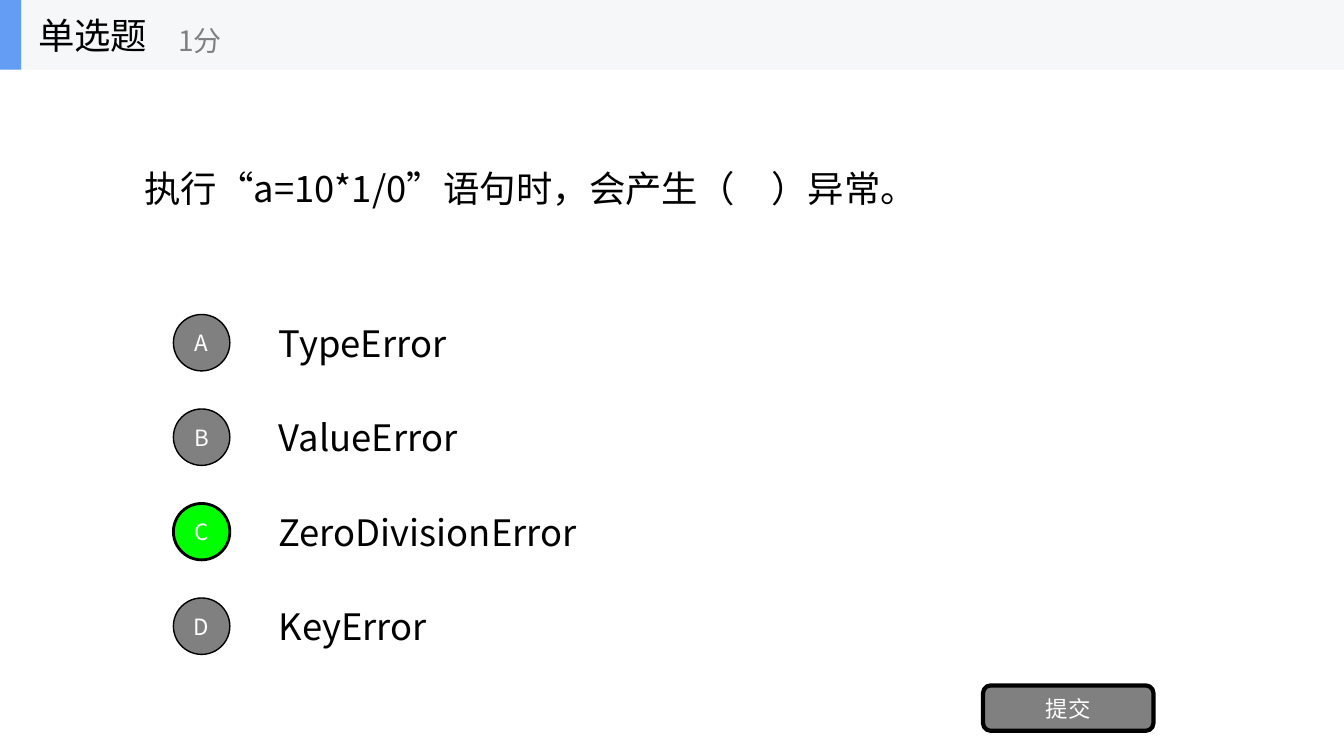
from lxml.etree import SubElement
from pptx import Presentation
from pptx.dml.color import RGBColor
from pptx.enum.shapes import MSO_SHAPE
from pptx.enum.text import MSO_ANCHOR, MSO_AUTO_SIZE, PP_ALIGN
from pptx.oxml.ns import qn
from pptx.util import Inches, Pt

# Content
HEADING = "单选题"
POINTS = "1分"
QUESTION = "执行“a=10*1/0”语句时，会产生（　）异常。"
OPTIONS = [("A", "TypeError"), ("B", "ValueError"),
           ("C", "ZeroDivisionError"), ("D", "KeyError")]
CORRECT = "C"
SUBMIT = "提交"

# Style
FONT = "Noto Sans CJK SC"
BLACK = RGBColor(0x00, 0x00, 0x00)
WHITE = RGBColor(0xFF, 0xFF, 0xFF)
GRAY = RGBColor(0x80, 0x80, 0x80)
GREEN = RGBColor(0x00, 0xFF, 0x00)
BAND = RGBColor(0xF6, 0xF7, 0xF8)
ACCENT = RGBColor(0x63, 0x9E, 0xF4)

# Layout in inches: the answers sit on a grid of equal rows
WIDTH, HEIGHT = 13.33, 7.5
BAND_HEIGHT = 0.69
ROW_TOP, ROW_HEIGHT = 3.05, HEIGHT / 8
OPTION_LEFT, OPTION_HEIGHT = WIDTH / 5, 0.7
BADGE_LEFT, BADGE_SIZE = 1.72, 0.56

deck = Presentation()
deck.slide_width, deck.slide_height = Inches(WIDTH), Inches(HEIGHT)
page = deck.slides.add_slide(deck.slide_layouts[5])


def write(shape, text, size, color, align=PP_ALIGN.LEFT, wrap=True):
    frame = shape.text_frame
    frame.text = text
    frame.word_wrap = wrap
    frame.auto_size = MSO_AUTO_SIZE.NONE
    frame.vertical_anchor = MSO_ANCHOR.MIDDLE
    para = frame.paragraphs[0]
    para.alignment = align
    font = para.font
    font.name, font.size, font.color.rgb = FONT, Pt(size), color
    # East Asian characters take their own typeface element
    defaults = para._p.pPr.find(qn("a:defRPr"))
    SubElement(defaults, qn("a:ea")).set("typeface", FONT)


def add_text(left, top, width, height, text, size=26, color=BLACK, wrap=True):
    box = page.shapes.add_textbox(*map(Inches, (left, top, width, height)))
    write(box, text, size, color, wrap=wrap)


def add_block(kind, left, top, width, height, fill, border=0, label=""):
    block = page.shapes.add_shape(kind, *map(Inches, (left, top, width, height)))
    block.shadow.inherit = False
    block.fill.solid()
    block.fill.fore_color.rgb = fill
    if border:
        block.line.color.rgb = BLACK
        block.line.width = Pt(border)
    else:
        block.line.fill.background()
    if label:
        write(block, label, 16, WHITE, PP_ALIGN.CENTER)


# Question
question = page.shapes.title
question.left, question.top = Inches(WIDTH / 10), Inches(BAND_HEIGHT)
question.width, question.height = Inches(WIDTH * 0.8), Inches(2.34)
write(question, QUESTION, 26, BLACK)

# Answers with their letter badges
for row, (letter, answer) in enumerate(OPTIONS):
    top = ROW_TOP + row * ROW_HEIGHT
    add_text(OPTION_LEFT, top, WIDTH * 0.7, OPTION_HEIGHT, answer)
    fill, border = (GREEN, 2) if letter == CORRECT else (GRAY, 1)
    add_block(MSO_SHAPE.OVAL, BADGE_LEFT, top + (OPTION_HEIGHT - BADGE_SIZE) / 2,
              BADGE_SIZE, BADGE_SIZE, fill, border, letter)

# Submit button
add_block(MSO_SHAPE.ROUNDED_RECTANGLE, 9.75, 6.8, 1.69, 0.45, GRAY, 3, SUBMIT)

# Header band
add_block(MSO_SHAPE.RECTANGLE, 0, 0, WIDTH, BAND_HEIGHT, BAND)
add_block(MSO_SHAPE.RECTANGLE, 0, 0, 0.21, BAND_HEIGHT, ACCENT)
add_text(0.28, 0, 2.08, BAND_HEIGHT, HEADING, wrap=False)
add_text(1.67, 0.12, 2.5, 0.56, POINTS, 20, GRAY, wrap=False)

deck.save("out.pptx")
